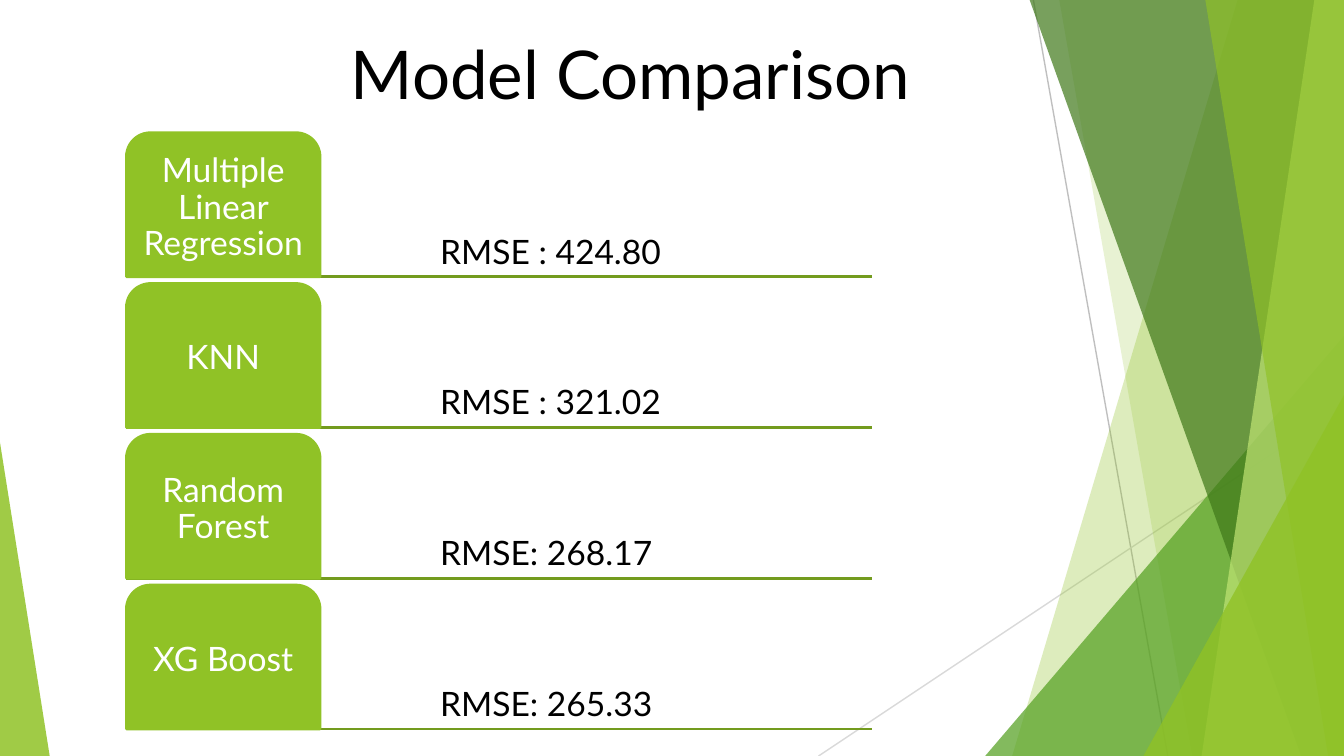
import dataclasses
import typing

import pptx
import pptx.dml.color
import pptx.enum.shapes
import pptx.enum.text
import pptx.oxml
import pptx.oxml.ns
import pptx.util

Cm = pptx.util.Cm
ANCHOR = pptx.enum.text.MSO_ANCHOR
ALIGN = pptx.enum.text.PP_ALIGN
SHAPE = pptx.enum.shapes.MSO_SHAPE

COLORS = {
    "lime": "90C226", "green": "54A021", "forest": "3F7819", "pale": "C0E474",
    "rule": "739B1E", "gray": "BFBFBF", "silver": "D9D9D9",
    "black": "000000", "white": "FFFFFF",
}
FONT = "Lato"
SLIDE_W, SLIDE_H = 25.4, 14.29
ROW_TOP, ROW_PITCH, ROW_H = 2.51, 2.85, 2.72
TAB_LEFT, TAB_W, RULE_RIGHT = 2.39, 3.66, 16.48
INSET, VALUE_INDENT = 0.1, 2.27


@dataclasses.dataclass
class Ray:
    start: tuple[float, float]
    end: tuple[float, float]
    color: str
    width: float = 0.75


@dataclasses.dataclass
class Pane:
    top_x: float
    bottom_x: float
    color: str
    opacity: int


@dataclasses.dataclass
class Peak:
    left: float
    top: float
    width: float
    apex: float
    color: str
    opacity: int


@dataclasses.dataclass
class Model:
    name: str
    score: str


RAYS = [
    Ray((19.53, 0), (22.07, SLIDE_H), "gray"),
    Ray((SLIDE_W, 7.67), (15.47, SLIDE_H), "silver"),
]
FACETS = [
    Pane(23.39, 19.13, "lime", 30),
    Pane(20.02, 22.53, "lime", 20),
    Peak(18.62, 6.35, 6.78, 1, "green", 72),
    Pane(19.46, 24.59, "forest", 70),
    Pane(24.84, 22.71, "pale", 70),
    Pane(22.78, 25.1, "lime", 65),
    Peak(21.61, 7.47, 3.79, 1, "lime", 80),
    Peak(0, 8.36, 0.94, 0, "lime", 85),
]
MODELS = [
    Model("Multiple Linear Regression", "RMSE : 424.80"),
    Model("KNN", "RMSE : 321.02"),
    Model("Random Forest", "RMSE: 268.17"),
    Model("XG Boost", "RMSE: 265.33"),
]


def rgb(color: str) -> pptx.dml.color.RGBColor:
    return pptx.dml.color.RGBColor.from_string(COLORS[color])


def paint(shape: typing.Any, color: str, opacity: int = 100) -> None:
    shape.shadow.inherit = False
    shape.fill.solid()
    shape.fill.fore_color.rgb = rgb(color)
    shape.line.fill.background()
    if opacity < 100:
        solid = shape.fill._xPr.find(pptx.oxml.ns.qn("a:solidFill"))
        alpha = pptx.oxml.parse_xml(
            f'<a:alpha {pptx.oxml.ns.nsdecls("a")} val="{opacity * 1000}"/>')
        solid[0].append(alpha)


def write(shape: typing.Any, text: str, *, size: int = 18, color: str = "black",
          align: ALIGN = ALIGN.LEFT, anchor: ANCHOR = ANCHOR.TOP, wrap: bool = True,
          spacing: float = 0.9, insets: tuple[float, ...] = (INSET,) * 4) -> None:
    frame = shape.text_frame
    frame.word_wrap = wrap
    frame.vertical_anchor = anchor
    (frame.margin_left, frame.margin_top,
     frame.margin_right, frame.margin_bottom) = map(Cm, insets)
    paragraph = frame.paragraphs[0]
    paragraph.alignment = align
    paragraph.line_spacing = spacing
    run = paragraph.add_run()
    run.text = text
    run.font.size = pptx.util.Pt(size)
    run.font.name = FONT
    run.font.color.rgb = rgb(color)


def draw_ray(shapes: typing.Any, ray: Ray) -> None:
    line = shapes.add_connector(pptx.enum.shapes.MSO_CONNECTOR.STRAIGHT,
                                *map(Cm, ray.start + ray.end))
    line.line.color.rgb = rgb(ray.color)
    line.line.width = pptx.util.Pt(ray.width)
    line._element.spPr.append(
        pptx.oxml.parse_xml(f'<a:effectLst {pptx.oxml.ns.nsdecls("a")}/>'))


def draw_facet(shapes: typing.Any, facet: Pane | Peak) -> None:
    if isinstance(facet, Pane):
        outline = shapes.build_freeform(Cm(facet.top_x), 0)
        corners = [(SLIDE_W, 0), (SLIDE_W, SLIDE_H), (facet.bottom_x, SLIDE_H)]
        outline.add_line_segments([(Cm(x), Cm(y)) for x, y in corners])
        shape = outline.convert_to_shape()
    else:
        shape = shapes.add_shape(
            SHAPE.ISOSCELES_TRIANGLE, Cm(facet.left), Cm(facet.top),
            Cm(facet.width), Cm(SLIDE_H - facet.top))
        shape.adjustments[0] = facet.apex
    paint(shape, facet.color, facet.opacity)


def draw_model(shapes: typing.Any, model: Model, top: float) -> None:
    bottom = top + ROW_H
    draw_ray(shapes, Ray((TAB_LEFT, bottom), (RULE_RIGHT, bottom), "rule", 1.5))
    value_left = TAB_LEFT + TAB_W
    score = shapes.add_textbox(Cm(value_left), Cm(top),
                               Cm(RULE_RIGHT - value_left), Cm(ROW_H))
    write(score, model.score, anchor=ANCHOR.BOTTOM,
          insets=(VALUE_INDENT, INSET, INSET, INSET))
    tab = shapes.add_shape(SHAPE.ROUND_2_SAME_RECTANGLE, Cm(TAB_LEFT), Cm(top),
                           Cm(TAB_W), Cm(ROW_H))
    tab.adjustments[0] = 0.167
    tab.adjustments[1] = 0
    paint(tab, "lime")
    tab.line.color.rgb = rgb("lime")
    tab.line.width = pptx.util.Pt(1.5)
    write(tab, model.name, color="white", align=ALIGN.CENTER, anchor=ANCHOR.MIDDLE)


def main() -> None:
    deck = pptx.Presentation()
    deck.slide_width, deck.slide_height = Cm(SLIDE_W), Cm(SLIDE_H)
    shapes = deck.slides.add_slide(deck.slide_layouts[6]).shapes
    for ray in RAYS:
        draw_ray(shapes, ray)
    for facet in FACETS:
        draw_facet(shapes, facet)
    title = shapes.add_textbox(Cm(6.38), Cm(0.48), Cm(11.33), Cm(1.8))
    write(title, "Model Comparison", size=36, wrap=False, spacing=1.0,
          insets=(0.25, 0.13, 0.25, 0.13))
    title.text_frame.auto_size = pptx.enum.text.MSO_AUTO_SIZE.SHAPE_TO_FIT_TEXT
    for row, model in enumerate(MODELS):
        draw_model(shapes, model, ROW_TOP + row * ROW_PITCH)
    deck.save("out.pptx")


if __name__ == "__main__":
    main()
